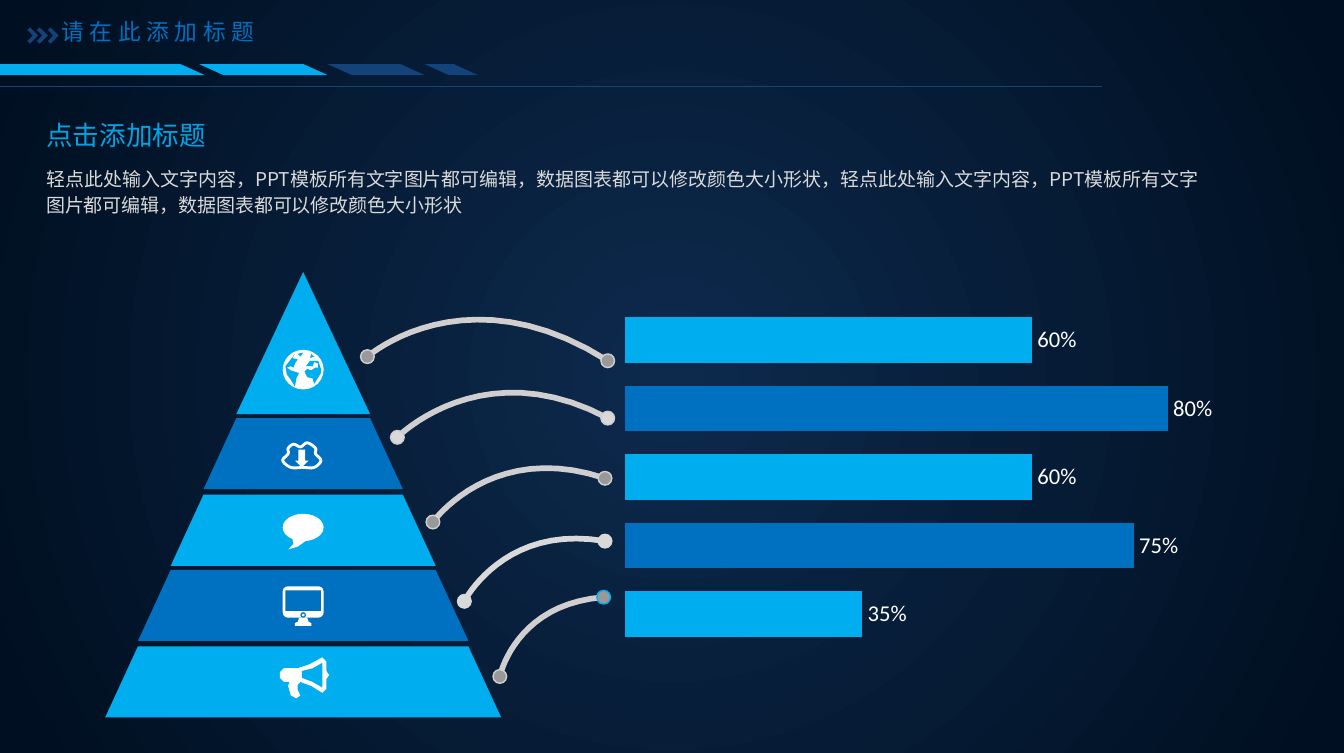
from lxml.etree import SubElement
from pptx import Presentation
from pptx.chart.data import CategoryChartData
from pptx.dml.color import RGBColor
from pptx.enum.chart import XL_CHART_TYPE, XL_LABEL_POSITION
from pptx.enum.shapes import MSO_CONNECTOR, MSO_SHAPE
from pptx.enum.text import PP_ALIGN
from pptx.oxml.ns import qn
from pptx.util import Pt

PX = 9144  # 100 px to the inch
SKY, BLUE, NAVY, WHITE = "00AEEF", "0070C0", "14427A", "FFFFFF"
GREY, PALE, SILVER = "999999", "D9D9D9", "D0CECE"
SANS = "Noto Sans CJK SC"
MID = 222  # centre line of the pyramid

BARS = [(-20, 150), (146, 240), (240, 311), (311, 350)]
# from, bend, to, dot fill, line
LINKS = [
    ((269, 261), (341, 198), (445, 264), GREY, SILVER),
    ((291, 320), (353, 257), (445, 306), PALE, SILVER),
    ((317, 382), (360, 322), (443, 350), GREY, SILVER),
    ((340, 440), (369, 383), (443, 396), PALE, PALE),
    ((366, 495), (377, 442), (442, 437), GREY, SILVER),
]
LANDS = [
    [(216, 259), (214, 262), (218, 263), (216, 266), (215, 269), (213, 268),
     (210, 269), (213, 271), (219, 273), (217, 277), (216, 283), (213, 278),
     (210, 274), (209, 268)],
    [(230, 281), (229, 277), (225, 276), (223, 272), (225, 270), (228, 271),
     (231, 269), (233, 269), (233, 266), (230, 265), (229, 268), (224, 268),
     (227, 264), (233, 264), (235, 270), (235, 273)],
    [(218, 259), (222, 258), (220, 261)],
    [(228, 259), (230, 261), (227, 262)],
]
CLOUD = [(213, 342), (207, 337), (211, 332), (211, 328), (215, 325), (220, 327),
         (225, 324), (231, 328), (231, 332), (235, 337), (230, 342), (222, 342)]
HORN = [(241, 494), (239, 497), (239, 504), (236, 507), (228, 502), (220, 499),
        (218, 501), (218, 505), (220, 509), (217, 511), (213, 509), (211, 502),
        (212, 499), (208, 499), (205, 496), (205, 492), (208, 489), (218, 489),
        (227, 486), (236, 481), (239, 484), (239, 491)]
MOUTH = [(236, 485), (229, 489), (221, 491), (221, 496), (229, 499), (236, 503)]
BODY = ("轻点此处输入文字内容，PPT模板所有文字图片都可编辑，数据图表都可以修改颜色大小形状，"
        "轻点此处输入文字内容，PPT模板所有文字图片都可编辑，数据图表都可以修改颜色大小形状")


def tint(code):
    return RGBColor.from_string(code)


def paint(shape, fill=None, line=None, width=0.75):
    shape.shadow.inherit = False
    if fill:
        shape.fill.solid()
        shape.fill.fore_color.rgb = tint(fill)
    else:
        shape.fill.background()
    if line:
        shape.line.color.rgb = tint(line)
        shape.line.width = Pt(width)
    else:
        shape.line.fill.background()
    return shape


def form(slide, kind, box, fill, line=None):
    """Add a preset shape; box is left, top, width, height."""
    shape = slide.shapes.add_shape(kind, *(v * PX for v in box))
    return paint(shape, fill, line)


def shape_out(slide, points, fill=None, line=None, width=0.75):
    """Add an outline, closed when it has a fill."""
    first, *rest = [(x * PX, y * PX) for x, y in points]
    pen = slide.shapes.build_freeform(*first)
    pen.add_line_segments(rest, close=bool(fill))
    return paint(pen.convert_to_shape(), fill, line, width)


def curve(a, b, c, d, steps=20):
    """Points along a cubic curve with controls b and c."""
    spots = []
    for n in range(steps + 1):
        t = n / steps
        u = 1 - t
        mix = (u**3, 3 * u * u * t, 3 * u * t * t, t**3)
        spots.append(tuple(sum(m * v for m, v in zip(mix, axis))
                           for axis in zip(a, b, c, d)))
    return spots


def smooth(ring):
    """Points of a soft closed curve through every corner of the ring."""
    spots = []
    for n, b in enumerate(ring):
        a, c, d = ring[n - 1], ring[(n + 1) % len(ring)], ring[(n + 2) % len(ring)]
        out = [v + (w - u) / 6 for u, v, w in zip(a, b, c)]
        into = [v - (w - u) / 6 for u, v, w in zip(b, c, d)]
        spots += curve(b, out, into, c, 6)
    return spots


def write(slide, box, text, size, color, wrap=False, space=0):
    frame = slide.shapes.add_textbox(*(v * PX for v in box)).text_frame
    frame.word_wrap = wrap
    frame.text = text
    line = frame.paragraphs[0]
    font = line.runs[0].font
    font.name, font.size = SANS, Pt(size)
    font.color.rgb = tint(color)
    props = line.runs[0]._r.get_or_add_rPr()
    SubElement(props, qn("a:ea")).set("typeface", SANS)
    if space:
        props.set("spc", str(space * 100))
    return line


def backdrop(slide):
    fill = slide.background.fill
    fill.gradient()
    for stop, place, color in zip(fill.gradient_stops, (0, 0.97), ("0D2A4D", "000F21")):
        stop.position = place
        stop.color.rgb = tint(color)
    grad = slide._element.find(".//" + qn("a:gradFill"))
    for lin in grad.findall(qn("a:lin")):
        grad.remove(lin)
    glow = SubElement(grad, qn("a:path"))
    glow.set("path", "circle")
    rect = SubElement(glow, qn("a:fillToRect"))
    for side in "ltrb":
        rect.set(side, "50000")


def header(slide):
    for n, (left, right) in enumerate(BARS):
        bar = form(slide, MSO_SHAPE.PARALLELOGRAM, (left, 47, right - left, 8),
                   SKY if n < 2 else NAVY)
        bar.adjustments[0] = 2.21
        bar._element.spPr.find(qn("a:xfrm")).set("flipV", "1")
    rule = slide.shapes.add_connector(MSO_CONNECTOR.STRAIGHT, 0, 63 * PX, 807 * PX, 63 * PX)
    rule.line.color.rgb = tint(NAVY)
    rule.line.width = Pt(0.5)
    SubElement(rule._element.spPr, qn("a:effectLst"))
    write(slide, (35, 8, 167, 30), "请在此添加标题", 12, BLUE, space=3)
    for n in range(3):
        x = 20 + n * 15 // 2
        shape_out(slide, [(x, 22), (x + 2, 20), (x + 8, 26), (x + 2, 32),
                          (x, 30), (x + 4, 26)], NAVY)


def tiers(slide):
    for n in range(5):
        foot = 303 + n * 111 // 2
        wide = 49 + 24 * n
        slim = wide - 24 if n else 0
        top = foot - (52 if n else 104)
        shape_out(slide, [(MID - slim, top), (MID + slim, top),
                          (MID + wide, foot), (MID - wide, foot)],
                  BLUE if n % 2 else SKY)


def icons(slide):
    form(slide, MSO_SHAPE.OVAL, (207, 256, 30, 29), WHITE)
    for land in LANDS:
        shape_out(slide, land, SKY)
    shape_out(slide, smooth(CLOUD), line=WHITE, width=1.5)
    form(slide, MSO_SHAPE.DOWN_ARROW, (216, 329, 10, 13), WHITE)
    form(slide, MSO_SHAPE.OVAL, (207, 376, 30, 20), WHITE)
    shape_out(slide, [(214, 394), (215, 398), (211, 402), (218, 400), (225, 395)], WHITE)
    form(slide, MSO_SHAPE.ROUNDED_RECTANGLE, (207, 429, 30, 23), WHITE)
    form(slide, MSO_SHAPE.RECTANGLE, (209, 432, 26, 15), BLUE)
    shape_out(slide, [(219, 452), (218, 455), (216, 456), (216, 458), (228, 458),
                      (228, 456), (226, 455), (225, 452)], WHITE)
    form(slide, MSO_SHAPE.OVAL, (220, 448, 4, 4), BLUE)
    form(slide, MSO_SHAPE.OVAL, (221, 449, 2, 2), WHITE)
    shape_out(slide, HORN, WHITE)
    shape_out(slide, MOUTH, SKY)


def links(slide):
    for start, bend, end, fill, line in LINKS:
        shape_out(slide, curve(start, start, bend, end), line=line, width=3)
        for x, y in (start, end):
            rim = "00B0F0" if (x, y) == LINKS[-1][2] else line
            form(slide, MSO_SHAPE.OVAL, (x - 5, y - 5, 10, 10), fill, rim)


def chart(slide):
    data = CategoryChartData(number_format="0%")
    data.categories = ["1"]
    for n, value in enumerate((0.35, 0.75, 0.6, 0.8, 0.6), 1):
        data.add_series(f"Series {n}", [value])
    graph = slide.shapes.add_chart(XL_CHART_TYPE.BAR_CLUSTERED, 448 * PX, 208 * PX,
                                   466 * PX, 282 * PX, data).chart
    graph.has_legend = graph.has_title = False
    graph.font.name, graph.font.size = "Calibri", Pt(10)
    for axis in (graph.category_axis, graph.value_axis):
        axis.has_major_gridlines = axis.visible = False
    graph.value_axis.minimum_scale, graph.value_axis.maximum_scale = 0, 0.9
    plot = graph.plots[0]
    plot.gap_width, plot.overlap, plot.vary_by_categories = 110, -50, False
    for n, row in enumerate(plot.series):
        row.format.fill.solid()
        row.format.fill.fore_color.rgb = tint(BLUE if n % 2 else SKY)
        labels = row.data_labels
        labels.show_value = True
        labels.position = XL_LABEL_POSITION.OUTSIDE_END
        labels.number_format, labels.number_format_is_linked = "0%", False
        labels.font.name, labels.font.size = "Calibri", Pt(11.9)
        labels.font.color.rgb = tint(WHITE)


def main():
    deck = Presentation()
    deck.slide_width, deck.slide_height = 984 * PX, 551 * PX
    slide = deck.slides.add_slide(deck.slide_layouts[6])
    backdrop(slide)
    header(slide)
    tiers(slide)
    icons(slide)
    links(slide)
    chart(slide)
    write(slide, (24, 82, 138, 34), "点击添加标题", 14, "00A4E3")
    body = write(slide, (24, 115, 863, 68), BODY, 10, PALE, wrap=True)
    body.alignment, body.line_spacing = PP_ALIGN.JUSTIFY, 1.14
    deck.save("out.pptx")


if __name__ == "__main__":
    main()
